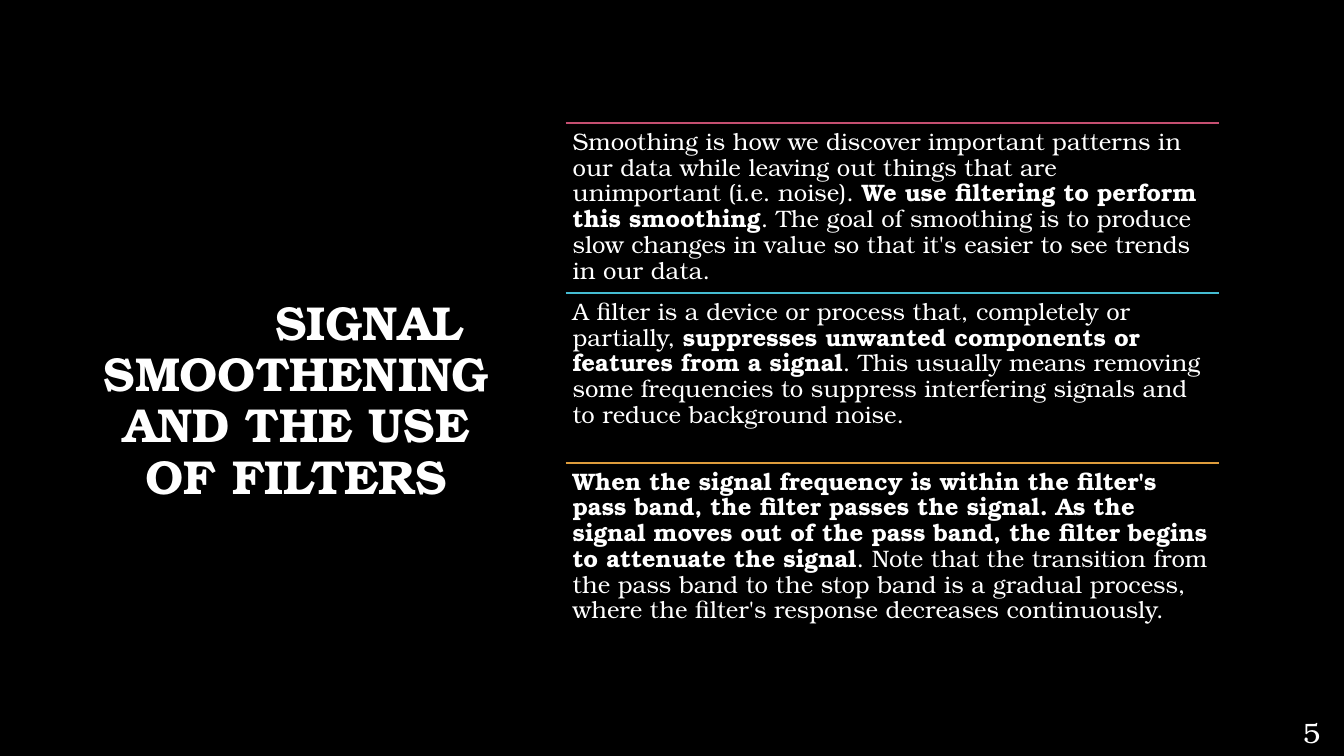
"""Build the slide on signal smoothening and the use of filters."""
from dataclasses import dataclass

from lxml import etree
from pptx import Presentation
from pptx import util as u
from pptx.dml.color import RGBColor
from pptx.enum import shapes, text
from pptx.oxml import ns

BLACK = RGBColor(0x00, 0x00, 0x00)
WHITE = RGBColor(0xFF, 0xFF, 0xFF)
ROSE = RGBColor(0xC5, 0x4F, 0x71)
TEAL = RGBColor(0x45, 0xBC, 0xD2)
AMBER = RGBColor(0xDE, 0x9C, 0x3C)
FONT = "TeX Gyre Bonum"
TITLE_ONLY = 5

SECTION_LEFT, SECTION_WIDTH = 5.61, 6.48
FIRST_TOP, LAST_TOP = 1.22, 4.59
SECTION_INSET = 0.07


@dataclass(frozen=True)
class Phrase:
    """A stretch of text in one weight."""
    wording: str
    bold: bool = False


@dataclass(frozen=True)
class Section:
    """A paragraph under a coloured rule."""
    rule_color: RGBColor
    phrases: tuple[Phrase, ...]


SECTIONS = (
    Section(ROSE, (
        Phrase("Smoothing is how we discover important patterns in our data while "
               "leaving out things that are unimportant (i.e. noise). "),
        Phrase("We use filtering to perform this smoothing", bold=True),
        Phrase(". The goal of smoothing is to produce slow changes in value so that "
               "it's easier to see trends in our data."),
    )),
    Section(TEAL, (
        Phrase("A filter is a device or process that, completely or partially, "),
        Phrase("suppresses unwanted components or features from a signal", bold=True),
        Phrase(". This usually means removing some frequencies to suppress "
               "interfering signals and to reduce background noise."),
    )),
    Section(AMBER, (
        Phrase("When the signal frequency is within the filter's pass band, the "
               "filter passes the signal. As the signal moves out of the pass band, "
               "the filter begins to attenuate the signal", bold=True),
        Phrase(". Note that the transition from the pass band to the stop band is a "
               "gradual process, where the filter's response decreases continuously."),
    )),
)
SECTION_HEIGHT = (LAST_TOP - FIRST_TOP) / (len(SECTIONS) - 1)


def add_phrase(paragraph, phrase: Phrase, size: float) -> None:
    """Append one white run to a paragraph."""
    run = paragraph.add_run()
    run.text = phrase.wording
    run.font.name = FONT
    run.font.size = u.Pt(size)
    run.font.bold = phrase.bold
    run.font.color.rgb = WHITE


def add_title_line(paragraph, wording: str, indent: float) -> None:
    """Write a centred part of the title after a left indent."""
    paragraph.alignment = text.PP_ALIGN.CENTER
    paragraph.line_spacing = 0.9
    paragraph.space_before = paragraph.space_after = u.Pt(0)
    properties = paragraph._p.get_or_add_pPr()
    properties.set("marL", str(u.Inches(indent)))
    properties.set("indent", "0")
    add_phrase(paragraph, Phrase(wording, bold=True), 34)


def fill_title(title) -> None:
    """Place the title, with its first word shifted to the right."""
    title.left, title.top = u.Inches(0.82), u.Inches(0.67)
    title.width, title.height = u.Inches(4.24), u.Inches(6.13)
    frame = title.text_frame
    frame.word_wrap = True
    frame.auto_size = text.MSO_AUTO_SIZE.NONE
    frame.vertical_anchor = text.MSO_ANCHOR.MIDDLE
    frame.margin_top = u.Inches(0.55)
    add_title_line(frame.paragraphs[0], "SIGNAL", 1.44)
    add_title_line(frame.add_paragraph(), "SMOOTHENING AND THE USE OF FILTERS", 0)


def add_section(slide, section: Section, top: float) -> None:
    """Draw a paragraph and the coloured rule above it."""
    left, right = u.Inches(SECTION_LEFT), u.Inches(SECTION_LEFT + SECTION_WIDTH)
    rule = slide.shapes.add_connector(
        shapes.MSO_CONNECTOR.STRAIGHT, left, u.Inches(top), right, u.Inches(top))
    rule.line.color.rgb = section.rule_color
    rule.line.width = u.Pt(1.25)
    etree.SubElement(rule._element.spPr, ns.qn("a:effectLst"))

    frame = slide.shapes.add_textbox(
        left, u.Inches(top), u.Inches(SECTION_WIDTH), u.Inches(SECTION_HEIGHT)).text_frame
    frame.word_wrap = True
    frame.margin_left = frame.margin_right = u.Inches(SECTION_INSET)
    frame.margin_top = frame.margin_bottom = u.Inches(SECTION_INSET)
    paragraph = frame.paragraphs[0]
    paragraph.line_spacing = 0.9
    for phrase in section.phrases:
        add_phrase(paragraph, phrase, 17)


def add_page_number(slide) -> None:
    """Put the page number in the lower right corner."""
    frame = slide.shapes.add_textbox(
        u.Inches(12.72), u.Inches(7.05), u.Inches(0.49), u.Inches(0.44)).text_frame
    frame.word_wrap = True
    paragraph = frame.paragraphs[0]
    paragraph.alignment = text.PP_ALIGN.CENTER
    add_phrase(paragraph, Phrase(" 5"), 20)


def main() -> None:
    """Assemble and save the slide."""
    deck = Presentation()
    deck.slide_width, deck.slide_height = u.Inches(13.33), u.Inches(7.5)
    slide = deck.slides.add_slide(deck.slide_layouts[TITLE_ONLY])
    slide.background.fill.solid()
    slide.background.fill.fore_color.rgb = BLACK
    fill_title(slide.shapes.title)
    for index, section in enumerate(SECTIONS):
        add_section(slide, section, FIRST_TOP + index * SECTION_HEIGHT)
    add_page_number(slide)
    deck.save("out.pptx")


if __name__ == "__main__":
    main()
